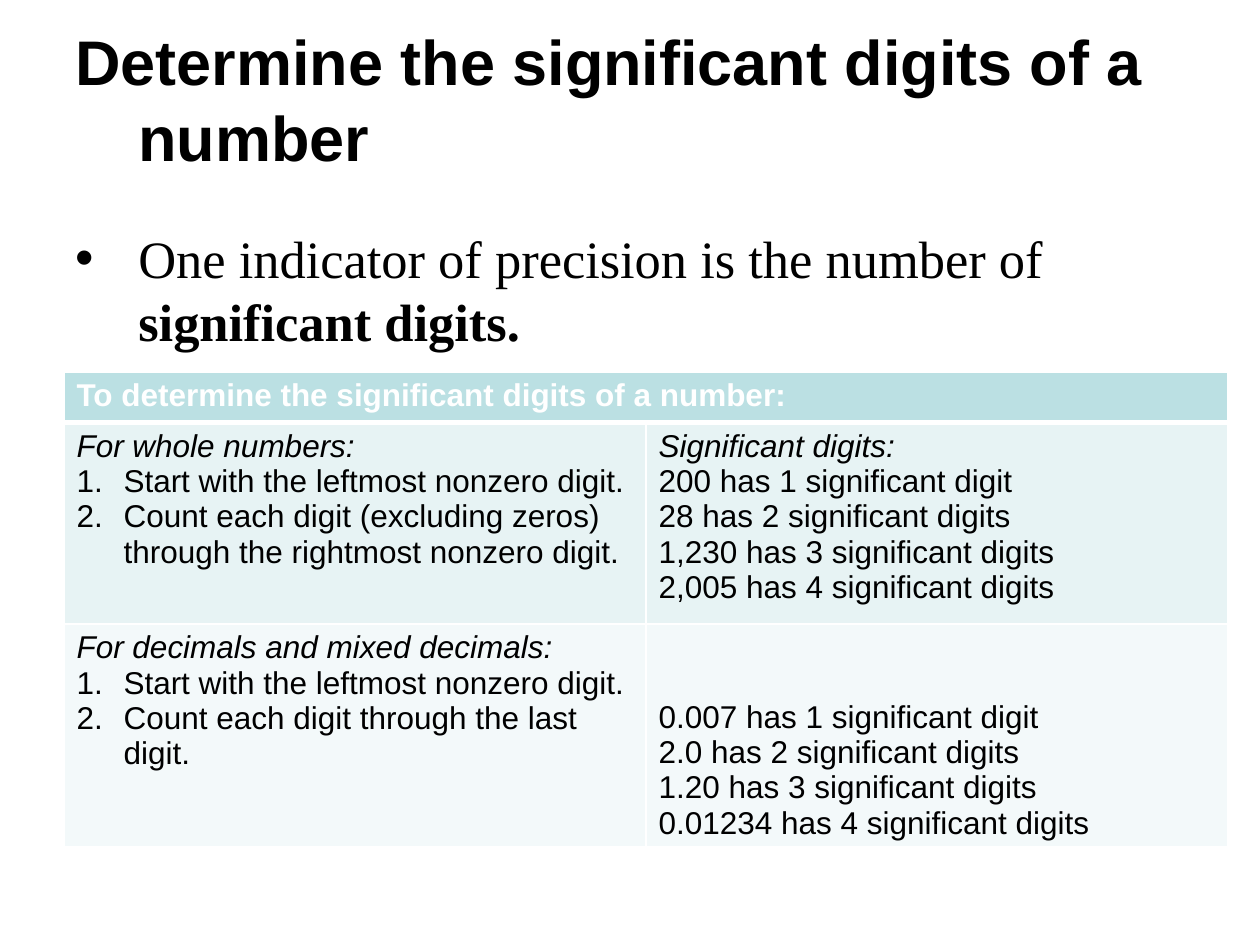
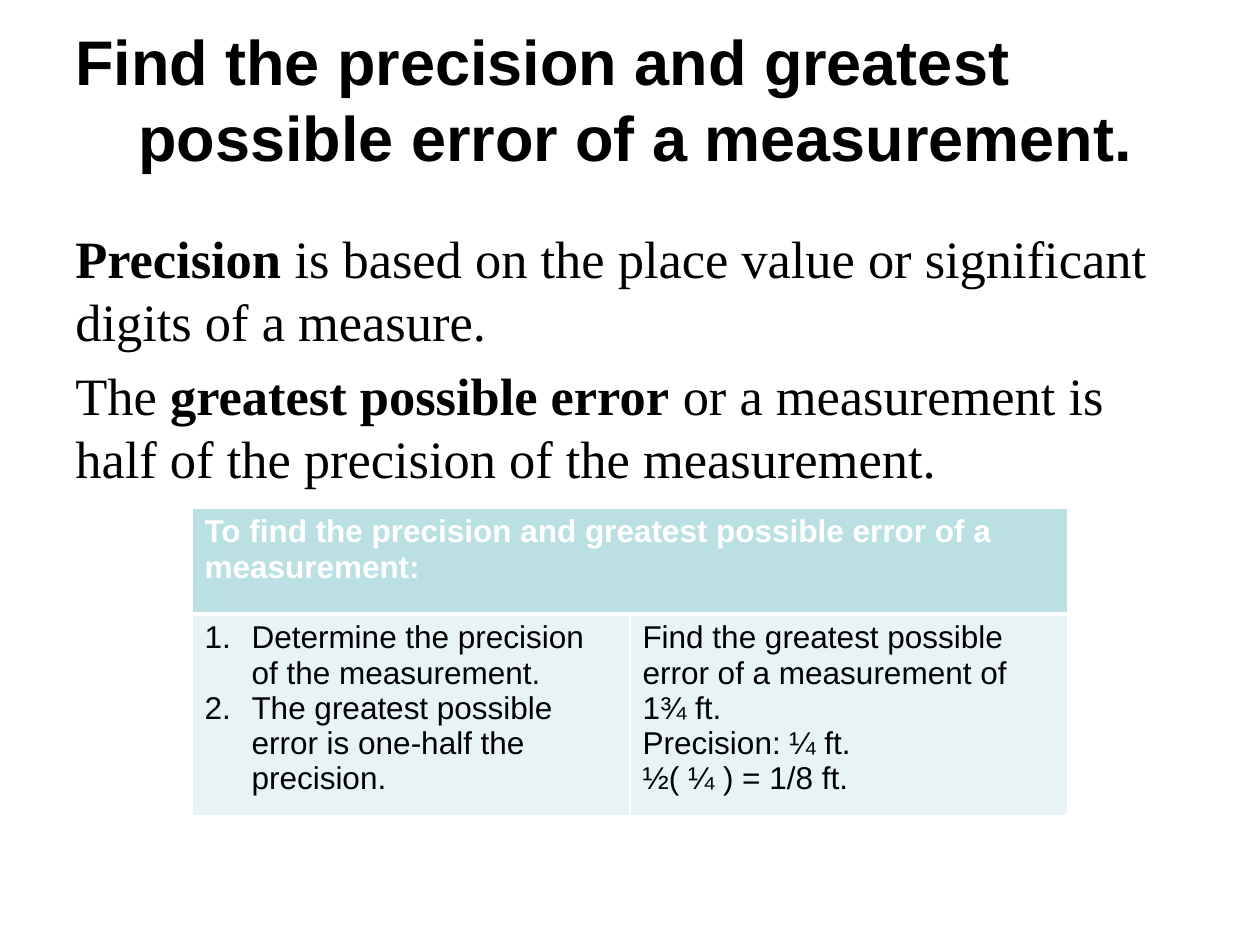
import pptx
import pptx.dml.color
import pptx.enum.text
import pptx.oxml.ns
import pptx.util
import lxml.etree

EMU_PER_PX = 914400 / 126
BLACK = "000000"
WHITE = "FFFFFF"
HEADER_FILL = "BBE0E3"
ROW_FILLS = ["E7F3F4", "F3F9FA"]
HEADING_FONT = "Arial"
BODY_FONT = "Times New Roman"
TEXT_LEFT, TEXT_WIDTH = 63, 1134
TITLE_TOP, TITLE_HEIGHT = 23, 157
BODY_TOP = 220
TEXT_INDENT = 63
LIST_INDENT = 47


def px(length):
    return pptx.util.Emu(round(length * EMU_PER_PX))


def rgb(color):
    return pptx.dml.color.RGBColor.from_string(color)


def add_element(parent, tag, **attributes):
    element = lxml.etree.SubElement(parent, pptx.oxml.ns.qn(tag))
    for name, value in attributes.items():
        element.set(name, str(value))
    return element


def write_text(paragraph, text, font=HEADING_FONT, size=18, color=BLACK, bold=False, italic=False):
    run = paragraph.add_run()
    run.text = text
    run.font.name = font
    run.font.size = pptx.util.Pt(size)
    run.font.color.rgb = rgb(color)
    run.font.bold = bold
    run.font.italic = italic


def set_hanging_indent(paragraph, indent):
    properties = paragraph._p.get_or_add_pPr()
    properties.set("marL", str(px(indent)))
    properties.set("indent", str(-px(indent)))
    return properties


def add_paragraph(text_frame, is_first):
    return text_frame.paragraphs[0] if is_first else text_frame.add_paragraph()


def add_text_frame(slide, top, height):
    box = slide.shapes.add_textbox(px(TEXT_LEFT), px(top), px(TEXT_WIDTH), px(height))
    box.text_frame.word_wrap = True
    return box.text_frame


def add_title(slide, title):
    text_frame = add_text_frame(slide, TITLE_TOP, TITLE_HEIGHT)
    text_frame.vertical_anchor = pptx.enum.text.MSO_ANCHOR.BOTTOM
    paragraph = text_frame.paragraphs[0]
    set_hanging_indent(paragraph, TEXT_INDENT)
    write_text(paragraph, title, size=36, bold=True)


def add_body(slide, height, paragraphs, bulleted=False):
    text_frame = add_text_frame(slide, BODY_TOP, height)
    for index, runs in enumerate(paragraphs):
        paragraph = add_paragraph(text_frame, index == 0)
        paragraph.space_before = pptx.util.Pt(6)
        if bulleted:
            properties = set_hanging_indent(paragraph, TEXT_INDENT)
            add_element(properties, "a:buFont", typeface=HEADING_FONT)
            add_element(properties, "a:buChar", char="•")
        for text, bold in runs:
            write_text(paragraph, text, font=BODY_FONT, size=30, bold=bold)


def style_cell(cell, fill, bottom_width=1):
    properties = cell._tc.get_or_add_tcPr()
    widths = {"a:lnL": 1, "a:lnR": 1, "a:lnT": 1, "a:lnB": bottom_width}
    for tag, width in widths.items():
        line = add_element(properties, tag, w=pptx.util.Pt(width))
        add_element(add_element(line, "a:solidFill"), "a:srgbClr", val=WHITE)
    cell.fill.solid()
    cell.fill.fore_color.rgb = rgb(fill)


def fill_cell(cell, heading=None, steps=(), lines=()):
    entries = [(heading, "heading")] if heading else []
    entries += [(step, "step") for step in steps]
    entries += [(line, "line") for line in lines]
    for index, (text, kind) in enumerate(entries):
        paragraph = add_paragraph(cell.text_frame, index == 0)
        if kind == "step":
            properties = set_hanging_indent(paragraph, LIST_INDENT)
            add_element(properties, "a:buFont", typeface="+mj-lt")
            add_element(properties, "a:buAutoNum", type="arabicPeriod")
        write_text(paragraph, text, italic=kind == "heading")


def add_rule_table(slide, left, top, column_width, row_heights, header, rows):
    frame = slide.shapes.add_table(
        len(row_heights), 2, px(left), px(top), px(2 * column_width), px(sum(row_heights))
    )
    table = frame.table
    table.horz_banding = False
    for column in table.columns:
        column.width = px(column_width)
    for row, height in zip(table.rows, row_heights):
        row.height = px(height)
    for cell in table.rows[0].cells:
        style_cell(cell, HEADER_FILL, bottom_width=3)
    table.cell(0, 0).merge(table.cell(0, 1))
    write_text(table.cell(0, 0).text_frame.paragraphs[0], header, color=WHITE, bold=True)
    for row_index, (contents, fill) in enumerate(zip(rows, ROW_FILLS), 1):
        for column_index, content in enumerate(contents):
            cell = table.cell(row_index, column_index)
            style_cell(cell, fill)
            fill_cell(cell, **content)
    return table


def add_slide(presentation, title):
    slide = presentation.slides.add_slide(presentation.slide_layouts[6])
    add_title(slide, title)
    return slide


def build_digits_slide(presentation):
    slide = add_slide(presentation, "Determine the significant digits of a number")
    body = [[("One indicator of precision is the number of ", False), ("significant digits.", True)]]
    add_body(slide, 151, body, bulleted=True)
    first_step = "Start with the leftmost nonzero digit."
    whole_numbers = {
        "heading": "For whole numbers:",
        "steps": [
            first_step,
            "Count each digit (excluding zeros) through the rightmost nonzero digit.",
        ],
    }
    whole_examples = {
        "heading": "Significant digits:",
        "lines": [
            "200 has 1 significant digit",
            "28 has 2 significant digits",
            "1,230 has 3 significant digits",
            "2,005 has 4 significant digits",
        ],
    }
    decimals = {
        "heading": "For decimals and mixed decimals:",
        "steps": [first_step, "Count each digit through the last digit."],
    }
    decimal_examples = {
        "lines": [
            "0.007 has 1 significant digit",
            "2.0 has 2 significant digits",
            "1.20 has 3 significant digits",
            "0.01234 has 4 significant digits",
        ],
    }
    table = add_rule_table(
        slide, 64, 372, 582, [50, 189, 223],
        "To determine the significant digits of a number:",
        [(whole_numbers, whole_examples), (decimals, decimal_examples)],
    )
    table.cell(2, 1).vertical_anchor = pptx.enum.text.MSO_ANCHOR.BOTTOM


def build_error_slide(presentation):
    slide = add_slide(
        presentation, "Find the precision and greatest possible error of a measurement."
    )
    body = [
        [
            ("Precision ", True),
            ("is based on the place value or significant digits of a measure.", False),
        ],
        [
            ("The ", False),
            ("greatest possible error", True),
            (" or a measurement is half of the precision of the measurement.", False),
        ],
    ]
    add_body(slide, 272, body)
    steps = {
        "steps": [
            "Determine the precision of the measurement.",
            "The greatest possible error is one-half the precision.",
        ],
    }
    example = {
        "lines": [
            "Find the greatest possible error of a measurement of 1¾ ft.",
            "Precision: ¼ ft.",
            "½( ¼ ) = 1/8 ft.",
        ],
    }
    add_rule_table(
        slide, 192, 508, 438, [106, 197],
        "To find the precision and greatest possible error of a measurement:",
        [(steps, example)],
    )


def main():
    presentation = pptx.Presentation()
    presentation.slide_width = px(1260)
    presentation.slide_height = px(945)
    build_digits_slide(presentation)
    build_error_slide(presentation)
    presentation.save("out.pptx")


if __name__ == "__main__":
    main()
